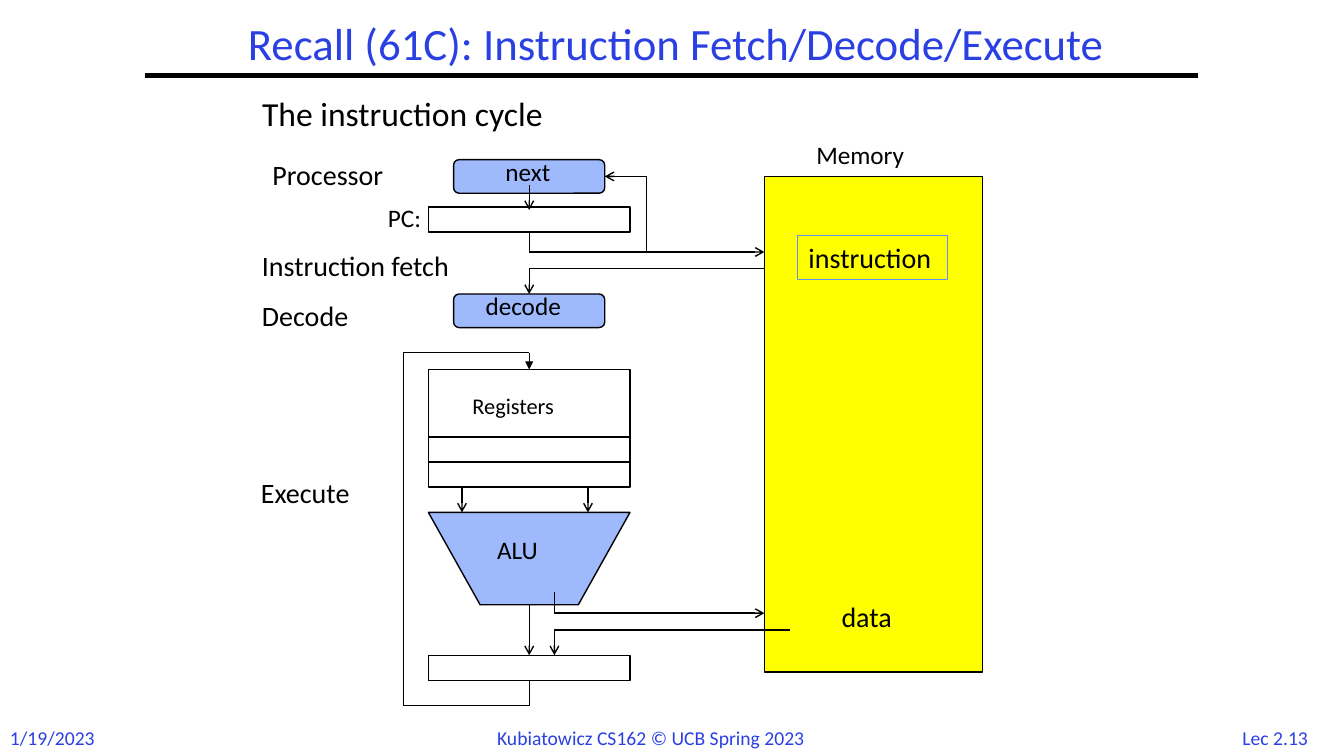
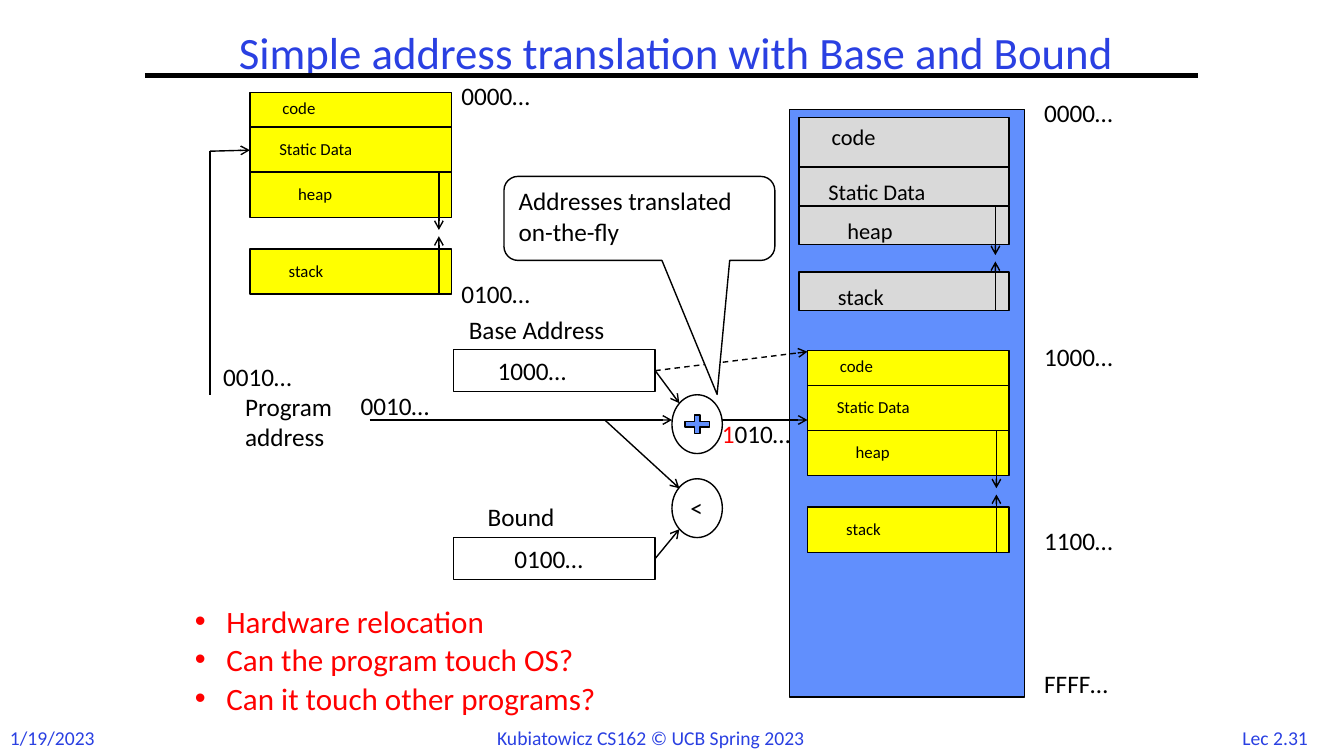
from dataclasses import dataclass
from itertools import pairwise

from lxml.etree import SubElement
from pptx import Presentation
from pptx.dml.color import RGBColor
from pptx.enum.dml import MSO_LINE
from pptx.enum.shapes import MSO_CONNECTOR, MSO_SHAPE as Shape
from pptx.enum.text import MSO_ANCHOR, MSO_AUTO_SIZE, PP_ALIGN
from pptx.oxml.ns import qn
from pptx.util import Emu, Pt


@dataclass(frozen=True)
class Theme:
    font: str = "Calibri"
    title: str = "2A40E2"
    ink: str = "000000"
    alert: str = "FF0000"
    blue: str = "618FFD"
    yellow: str = "FFFF00"
    gray: str = "D9D9D9"
    white: str = "FFFFFF"
    title_size: float = 32
    lead_size: float = 24
    bullet_size: float = 22.2
    step_size: float = 20
    label_size: float = 18
    small_size: float = 16
    footer_size: float = 14
    tiny_size: float = 12


THEME = Theme()
PX = 9525
SLIDE_SIZE = 1280, 720
PROCESSOR_OPACITY = 61

TITLE_RULE = [(138, 72), (1141, 72)]
FOOTER_TOP = 687
FOOTERS = [("1/19/2023", 0, 103), ("Kubiatowicz CS162 © UCB Spring 2023", 464, 353)]
PAGE_NUMBER_X, PAGE_NUMBER_WIDTH = 1168, 93

# Boxes: shape, (left, top, width, height), options
CYCLE = dict(
    title="Recall (61C): Instruction Fetch/Decode/Execute",
    title_at=(168, 16, 952, 56),
    page="Lec 2.13",
    body=["The instruction cycle"],
    body_at=(240, 88, 800, 48),
    body_style=dict(size=THEME.lead_size, color=THEME.ink, spacing=0.9),
    boxes=[
        (Shape.RECTANGLE, (408, 197, 192, 24), {}),
        (Shape.RECTANGLE, (728, 168, 208, 472), dict(fill=THEME.yellow)),
        (Shape.RECTANGLE, (760, 224, 142, 42),
         dict(text="instruction", size=THEME.step_size, line=THEME.blue, width=0.75)),
        (Shape.TRAPEZOID, (408, 488, 192, 88),
         dict(fill=THEME.blue, opacity=PROCESSOR_OPACITY, adjust=[0.56], rotation=180)),
        (Shape.RECTANGLE, (408, 352, 192, 112),
         dict(text="Registers", size=THEME.small_size, inset=(32, 16))),
        (Shape.RECTANGLE, (408, 416, 192, 24), {}),
        (Shape.RECTANGLE, (408, 624, 192, 24), {}),
        (Shape.ROUNDED_RECTANGLE, (432, 152, 144, 32),
         dict(fill=THEME.blue, opacity=PROCESSOR_OPACITY)),
        (Shape.ROUNDED_RECTANGLE, (432, 280, 144, 32),
         dict(fill=THEME.blue, opacity=PROCESSOR_OPACITY)),
    ],
    paths=[
        ([(504, 176), (504, 200)], {}),
        ([(504, 221), (504, 240), (728, 240)], {}),
        ([(616, 240), (616, 168), (576, 168)], {}),
        ([(728, 256), (504, 256), (504, 280)], {}),
        ([(440, 464), (440, 488)], {}),
        ([(560, 464), (560, 488)], {}),
        ([(504, 576), (504, 624)], {}),
        ([(528, 564), (528, 584), (728, 584)], {}),
        ([(752, 600), (528, 600), (528, 624)], {}),
        ([(504, 648), (504, 672), (384, 672), (384, 336), (504, 336), (504, 352)],
         dict(head="triangle")),
    ],
    labels=[
        ("Processor", 250, 145, 140, THEME.step_size),
        ("Instruction fetch", 240, 232, 209, THEME.step_size),
        ("Decode", 240, 280, 112, THEME.step_size),
        ("Execute", 239, 448, 117, THEME.step_size),
        ("data", 792, 566, 72, THEME.step_size),
        ("PC:", 360, 188, 60, THEME.label_size),
        ("next", 472, 144, 65, THEME.label_size),
        ("decode", 453, 272, 99, THEME.label_size),
        ("ALU", 464, 504, 66, THEME.label_size),
        ("Memory", 768, 128, 107, THEME.label_size),
    ],
)

SEGMENT_NAMES = ["code", "Static Data", "heap", "stack"]
SEGMENT_INSETS = [(21, 0), (18, 6), (36, 6), (27, 6)]
PROGRAM_SPACE = dict(width=192, rows=[(0, 33), (33, 43), (76, 43), (149, 43)],
                     growth=55, arrow_x=180, fill=THEME.yellow, size=THEME.tiny_size)
OTHER_SPACE = dict(width=200, rows=[(0, 47), (47, 37), (84, 37), (147, 37)],
                   growth=47, arrow_x=187, fill=THEME.gray, size=THEME.small_size)

TRANSLATION = dict(
    title="Simple address translation with Base and Bound",
    title_at=(160, 24, 968, 56),
    page="Lec 2.31",
    body=["Hardware relocation", "Can the program touch OS?", "Can it touch other programs?"],
    body_at=(176, 576, 560, 120),
    body_style=dict(size=THEME.bullet_size, color=THEME.alert, spacing=0.8, bullet="•"),
    boxes=[
        (Shape.RECTANGLE, (752, 104, 224, 560), dict(fill=THEME.blue)),
        (Shape.RECTANGLE, (432, 333, 192, 40), dict(text="1000…", inset=(32, 0))),
        (Shape.RECTANGLE, (432, 512, 192, 40), dict(text="0100…", inset=(48, 0))),
        (Shape.MATH_PLUS, (648, 392, 32, 24), dict(fill=THEME.blue)),
        (Shape.OVAL, (640, 376, 48, 56), {}),
        (Shape.OVAL, (640, 456, 48, 56), {}),
    ],
    spaces=[(238, 88, PROGRAM_SPACE), (769, 334, PROGRAM_SPACE), (761, 112, OTHER_SPACE)],
    paths=[
        ([(200, 376), (200, 144), (238, 143)], {}),
        ([(352, 400), (640, 400)], {}),
        ([(688, 400), (769, 400)], {}),
        ([(624, 353), (769, 335)], dict(dashed=True)),
        ([(624, 353), (647, 384)], {}),
        ([(576, 400), (647, 465)], {}),
        ([(624, 532), (647, 504)], {}),
    ],
    callout=(Shape.ROUNDED_RECTANGULAR_CALLOUT, (480, 168, 258, 80),
             dict(text="Addresses translated\von-the-fly", fill=THEME.white,
                  adjust=[0.287, 2.095, 0.167])),
    labels=[
        ("0000…", 430, 72, 98, THEME.label_size),
        ("0100…", 430, 260, 98, THEME.label_size),
        ("0000…", 985, 88, 98, THEME.label_size),
        ("1000…", 985, 320, 98, THEME.label_size),
        ("1100…", 985, 496, 98, THEME.label_size),
        ("FFFF…", 985, 632, 103, THEME.label_size),
        ("0010…", 203, 339, 98, THEME.label_size),
        ("0010…", 334, 367, 98, THEME.label_size),
        ("Program\naddress", 224, 368, 112, THEME.label_size),
        ("Base Address", 437, 295, 169, THEME.label_size),
        ("Bound", 455, 473, 105, THEME.label_size),
        ("<", 648, 464, 34, THEME.label_size),
    ],
    translated=(("1", "010…"), 678, 394, 98),
)


def px(*lengths):
    return [Emu(length * PX) for length in lengths]


def rgb(color):
    return RGBColor.from_string(color)


def format_text(frame, size, color=THEME.ink, align=PP_ALIGN.LEFT):
    for paragraph in frame.paragraphs:
        paragraph.alignment = align
        for run in paragraph.runs:
            run.font.name = THEME.font
            run.font.size = Pt(size)
            run.font.color.rgb = rgb(color)


def add_label(slide, text, left, top, width, size, color=THEME.ink, align=PP_ALIGN.LEFT):
    lines = text.count("\n") + 1
    height = round(size * 1.6 * lines + 10)
    frame = slide.shapes.add_textbox(*px(left, top, width, height)).text_frame
    frame.word_wrap = False
    frame.auto_size = MSO_AUTO_SIZE.SHAPE_TO_FIT_TEXT
    frame.text = text
    format_text(frame, size, color, align)
    return frame


def add_box(slide, kind, at, text="", size=THEME.label_size, inset=(0, 0), fill=None,
            opacity=100, line=THEME.ink, width=1, adjust=(), rotation=0):
    shape = slide.shapes.add_shape(kind, *px(*at))
    shape.shadow.inherit = False
    shape.rotation = rotation
    for index, value in enumerate(adjust):
        shape.adjustments[index] = value
    shape.line.color.rgb = rgb(line)
    shape.line.width = Pt(width)
    if fill:
        shape.fill.solid()
        shape.fill.fore_color.rgb = rgb(fill)
        if opacity < 100:
            color = shape.fill._xPr.find(f"{qn('a:solidFill')}/{qn('a:srgbClr')}")
            SubElement(color, qn("a:alpha")).set("val", str(opacity * 1000))
    else:
        shape.fill.background()
    if text:
        frame = shape.text_frame
        frame.word_wrap = True
        frame.vertical_anchor = MSO_ANCHOR.TOP
        frame.margin_left, frame.margin_top = px(inset[0] + 10, inset[1] + 5)
        frame.margin_right = frame.margin_bottom = 0
        frame.text = text
        format_text(frame, size)


def add_path(slide, points, head="arrow", dashed=False, width=1):
    """Join the points with straight lines; the last one carries the head."""
    for start, end in pairwise(points):
        connector = slide.shapes.add_connector(MSO_CONNECTOR.STRAIGHT, *px(*start, *end))
        connector.line.color.rgb = rgb(THEME.ink)
        connector.line.width = Pt(width)
        if dashed:
            connector.line.dash_style = MSO_LINE.DASH
        SubElement(connector._element.spPr, qn("a:effectLst"))
    if head:
        SubElement(connector.line._get_or_add_ln(), qn("a:tailEnd")).set("type", head)


def add_address_space(slide, left, top, space):
    """Stack the four segments, with heap and stack growing towards each other."""
    for name, inset, (offset, height) in zip(SEGMENT_NAMES, SEGMENT_INSETS, space["rows"]):
        add_box(slide, Shape.RECTANGLE, (left, top + offset, space["width"], height),
                text=name, size=space["size"], inset=inset, fill=space["fill"])
    x = left + space["arrow_x"]
    heap_top = top + space["rows"][2][0]
    stack_bottom = top + sum(space["rows"][3])
    for start, growth in ((heap_top, space["growth"]), (stack_bottom, -space["growth"])):
        add_path(slide, [(x, start), (x, start + growth)])


def place(placeholder, at):
    placeholder.left, placeholder.top, placeholder.width, placeholder.height = px(*at)
    frame = placeholder.text_frame
    frame.word_wrap = True
    frame.auto_size = MSO_AUTO_SIZE.NONE
    return frame


def fill_body(placeholder, at, items, size, color, spacing, bullet=None):
    frame = place(placeholder, at)
    frame.vertical_anchor = MSO_ANCHOR.TOP
    frame.text = "\n".join(items)
    for index, paragraph in enumerate(frame.paragraphs):
        paragraph.line_spacing = spacing
        paragraph.space_before = Pt(6 if index else 0)
        properties = paragraph._p.get_or_add_pPr()
        indent = 30 * PX if bullet else 0
        properties.set("marL", str(indent))
        properties.set("indent", str(-indent))
        if bullet:
            SubElement(properties, qn("a:buChar")).set("char", bullet)
        else:
            SubElement(properties, qn("a:buNone"))
    format_text(frame, size, color)


def add_base_slide(presentation, content):
    """Start a slide with its title, rule, footers and body text."""
    slide = presentation.slides.add_slide(presentation.slide_layouts[1])
    frame = place(slide.shapes.title, content["title_at"])
    frame.vertical_anchor = MSO_ANCHOR.MIDDLE
    frame.text = content["title"]
    frame.paragraphs[0].line_spacing = 0.9
    format_text(frame, THEME.title_size, THEME.title, PP_ALIGN.CENTER)
    add_path(slide, TITLE_RULE, head=None, width=3)
    for text, left, width in FOOTERS:
        add_label(slide, text, left, FOOTER_TOP, width, THEME.footer_size, THEME.title)
    add_label(slide, content["page"], PAGE_NUMBER_X, FOOTER_TOP, PAGE_NUMBER_WIDTH,
              THEME.footer_size, THEME.title, PP_ALIGN.CENTER)
    fill_body(slide.placeholders[1], content["body_at"], content["body"], **content["body_style"])
    return slide


def add_diagram(slide, content):
    for kind, at, options in content["boxes"]:
        add_box(slide, kind, at, **options)
    for left, top, space in content.get("spaces", []):
        add_address_space(slide, left, top, space)
    for points, options in content["paths"]:
        add_path(slide, points, **options)
    for label in content["labels"]:
        add_label(slide, *label)
    if "callout" in content:
        kind, at, options = content["callout"]
        add_box(slide, kind, at, **options)
    if "translated" in content:
        (changed, kept), left, top, width = content["translated"]
        frame = add_label(slide, changed, left, top, width, THEME.label_size)
        frame.paragraphs[0].add_run().text = kept
        format_text(frame, THEME.label_size)
        frame.paragraphs[0].runs[0].font.color.rgb = rgb(THEME.alert)


def main():
    presentation = Presentation()
    presentation.slide_width, presentation.slide_height = px(*SLIDE_SIZE)
    for content in (CYCLE, TRANSLATION):
        add_diagram(add_base_slide(presentation, content), content)
    presentation.save("out.pptx")


if __name__ == "__main__":
    main()
